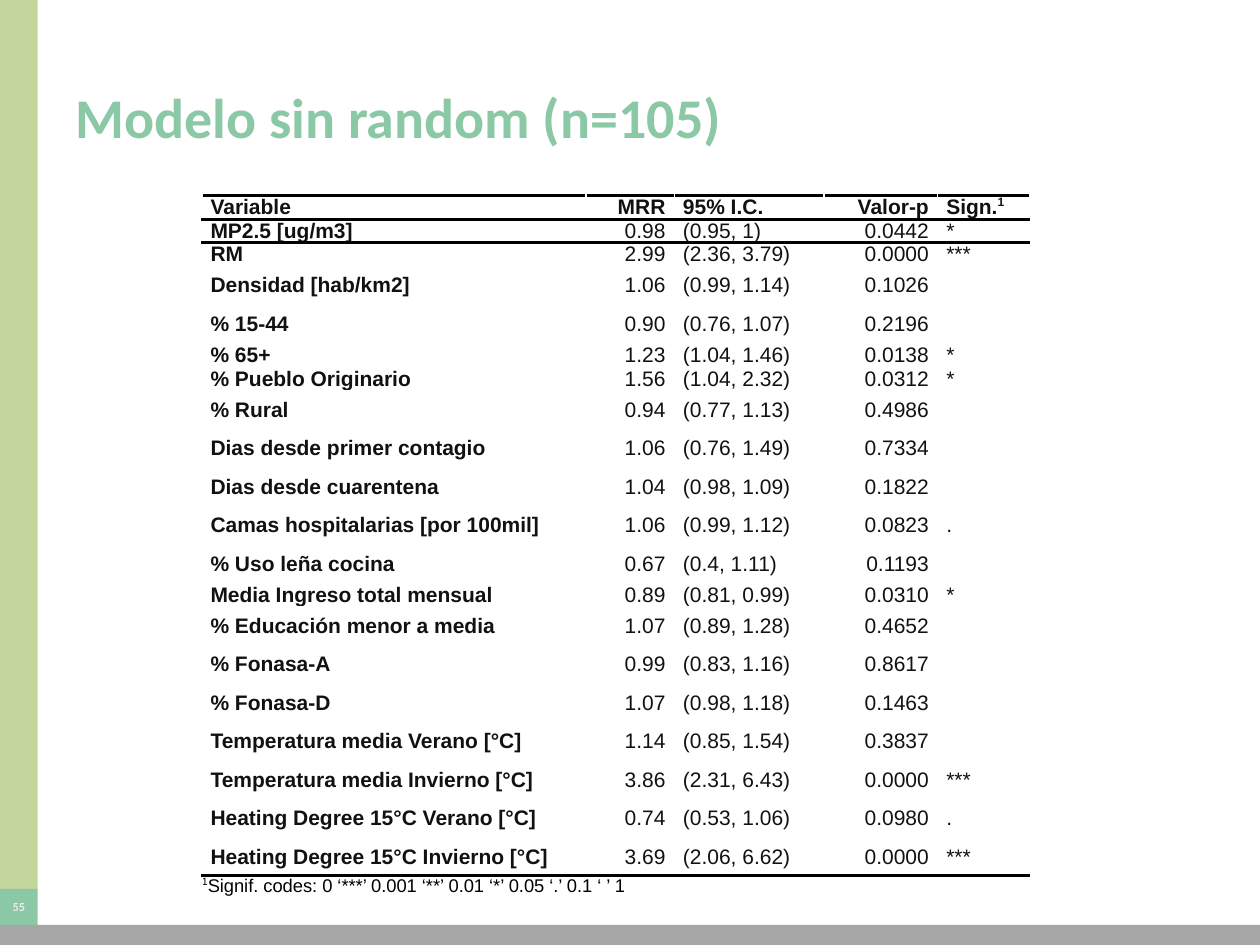
"""Build the slide with the regression table of the model without random effects."""
from lxml import etree
from pptx import Presentation
from pptx.dml.color import RGBColor
from pptx.enum import shapes, text
from pptx.oxml.ns import qn
from pptx.util import Pt

LIME = RGBColor(0xC3, 0xD6, 0x9B)
GREEN = RGBColor(0x8B, 0xC8, 0xA6)
GREY = RGBColor(0xA6, 0xA6, 0xA6)
PALE = RGBColor(0xEC, 0xEC, 0xEC)
INK = RGBColor(0x11, 0x11, 0x11)
BLACK = RGBColor(0, 0, 0)

LEFT, CENTER, RIGHT = text.PP_ALIGN.LEFT, text.PP_ALIGN.CENTER, text.PP_ALIGN.RIGHT
MIDDLE = text.MSO_ANCHOR.MIDDLE

COLUMN_WIDTHS = [219.5, 50.5, 85.5, 65, 52.5]
ALIGNMENTS = [LEFT, RIGHT, LEFT, RIGHT, LEFT]
SIGNED, UNSIGNED, TALL, NOTE = 13, 16.5, 22, 9.5
TALL_ROWS = {10, 17, 18, 19}

HEADER = ["Variable", "MRR", "95% I.C.", "Valor-p", "Sign."]
ESTIMATES = [
    ["MP2.5 [ug/m3]", "0.98", "(0.95, 1)", "0.0442", "*"],
    ["RM", "2.99", "(2.36, 3.79)", "0.0000", "***"],
    ["Densidad [hab/km2]", "1.06", "(0.99, 1.14)", "0.1026", ""],
    ["% 15-44", "0.90", "(0.76, 1.07)", "0.2196", ""],
    ["% 65+", "1.23", "(1.04, 1.46)", "0.0138", "*"],
    ["% Pueblo Originario", "1.56", "(1.04, 2.32)", "0.0312", "*"],
    ["% Rural", "0.94", "(0.77, 1.13)", "0.4986", ""],
    ["Dias desde primer contagio", "1.06", "(0.76, 1.49)", "0.7334", ""],
    ["Dias desde cuarentena", "1.04", "(0.98, 1.09)", "0.1822", ""],
    ["Camas hospitalarias [por 100mil]", "1.06", "(0.99, 1.12)", "0.0823", "."],
    ["% Uso leña cocina", "0.67", "(0.4, 1.11)", "0.1193", ""],
    ["Media Ingreso total mensual", "0.89", "(0.81, 0.99)", "0.0310", "*"],
    ["% Educación menor a media", "1.07", "(0.89, 1.28)", "0.4652", ""],
    ["% Fonasa-A", "0.99", "(0.83, 1.16)", "0.8617", ""],
    ["% Fonasa-D", "1.07", "(0.98, 1.18)", "0.1463", ""],
    ["Temperatura media Verano [°C]", "1.14", "(0.85, 1.54)", "0.3837", ""],
    ["Temperatura media Invierno [°C]", "3.86", "(2.31, 6.43)", "0.0000", "***"],
    ["Heating Degree 15°C Verano [°C]", "0.74", "(0.53, 1.06)", "0.0980", "."],
    ["Heating Degree 15°C Invierno [°C]", "3.69", "(2.06, 6.62)", "0.0000", "***"],
]
FOOTNOTE = "Signif. codes: 0 ‘***’ 0.001 ‘**’ 0.01 ‘*’ 0.05 ‘.’ 0.1 ‘ ’ 1"


def add_text(para, words, font="Arial", size=12, color=INK, bold=False, align=LEFT, raised=False):
    """Append a formatted run to a paragraph."""
    para.alignment = align
    span = para.add_run()
    span.text = words
    span.font.name, span.font.size, span.font.bold = font, Pt(size), bold
    span.font.color.rgb = color
    if raised:
        span.font._element.set("baseline", "40000")


def add_block(page, left, top, width, height, color):
    """Add a plain filled rectangle."""
    block = page.shapes.add_shape(
        shapes.MSO_SHAPE.RECTANGLE, Pt(left), Pt(top), Pt(width), Pt(height))
    block.shadow.inherit = False
    block.fill.solid()
    block.fill.fore_color.rgb = color
    block.line.fill.background()
    return block


def add_frame(page, width, height, band=21.5, foot=11.5):
    """Place the side band, the page number and the foot bar along the page edges."""
    foot_top = height - foot
    number_top = foot_top - band + 1
    add_block(page, 0, 0, band, number_top, LIME)
    number = add_block(page, 0, number_top, band, band - 1, GREEN).text_frame
    number.margin_left = number.margin_right = number.margin_top = number.margin_bottom = 0
    number.vertical_anchor = MIDDLE
    add_text(number.paragraphs[0], "55", font="Calibri", size=7, color=PALE, bold=True, align=CENTER)
    add_block(page, 0, foot_top, width, foot, GREY)


def add_title(page, left, top, width, height):
    """Move the title placeholder into its box and fill it."""
    title = page.shapes.title
    title.left, title.top, title.width, title.height = Pt(left), Pt(top), Pt(width), Pt(height)
    title.text_frame.vertical_anchor = MIDDLE
    add_text(title.text_frame.paragraphs[0], "Modelo sin random (n=105)",
             font="Calibri", size=32, color=GREEN, bold=True)


def rule_cell(cell, side):
    """Draw a black rule on the top (lnT) or bottom (lnB) edge of a cell."""
    line = etree.Element(qn("a:" + side), w=str(Pt(2)))
    fill = etree.SubElement(line, qn("a:solidFill"))
    etree.SubElement(fill, qn("a:srgbClr"), val=str(BLACK))
    cell._tc.get_or_add_tcPr().insert(0, line)


def add_estimates(page, left, top):
    """Place the table of estimates with its footnote row."""
    rows = [HEADER, *ESTIMATES]
    heights = [TALL if index in TALL_ROWS else SIGNED if row[-1] else UNSIGNED
               for index, row in enumerate(rows)] + [NOTE]
    last = len(rows)
    table = page.shapes.add_table(
        last + 1, len(HEADER), Pt(left), Pt(top), Pt(sum(COLUMN_WIDTHS)), Pt(sum(heights))).table
    table.first_row = table.horz_banding = False
    for column, width in zip(table.columns, COLUMN_WIDTHS):
        column.width = Pt(width)
    for row, height in zip(table.rows, heights):
        row.height = Pt(height)
        for cell in row.cells:
            cell.margin_left = cell.margin_right = cell.margin_top = cell.margin_bottom = 0
            cell.vertical_anchor = MIDDLE
            cell.fill.background()
    for index, row in enumerate(rows):
        for position, words in enumerate(row):
            if words:
                para = table.cell(index, position).text_frame.paragraphs[0]
                margins = para._p.get_or_add_pPr()
                margins.set("marL", str(Pt(5)))
                margins.set("marR", str(Pt(5)))
                add_text(para, words, bold=index == 0 or position == 0, align=ALIGNMENTS[position])
    add_text(table.cell(0, len(HEADER) - 1).text_frame.paragraphs[0], "1", bold=True, raised=True)
    for index, side in [(0, "lnB"), (0, "lnT"), (1, "lnT"), (last - 1, "lnB"), (last, "lnT")]:
        for cell in table.rows[index].cells:
            rule_cell(cell, side)
    note = table.cell(last, 0)
    note.merge(table.cell(last, len(HEADER) - 1))
    para = note.text_frame.paragraphs[0]
    add_text(para, "1", size=10.5, color=BLACK, raised=True)
    add_text(para, FOOTNOTE, size=10.5, color=BLACK)


def main():
    """Build and save the deck."""
    deck = Presentation()
    deck.slide_width, deck.slide_height = Pt(720), Pt(540)
    page = deck.slides.add_slide(deck.slide_layouts[5])
    add_frame(page, 720, 540)
    add_title(page, 36, 21.6, 648, 90)
    add_estimates(page, 115.3, 111.6)
    deck.save("out.pptx")


if __name__ == "__main__":
    main()
